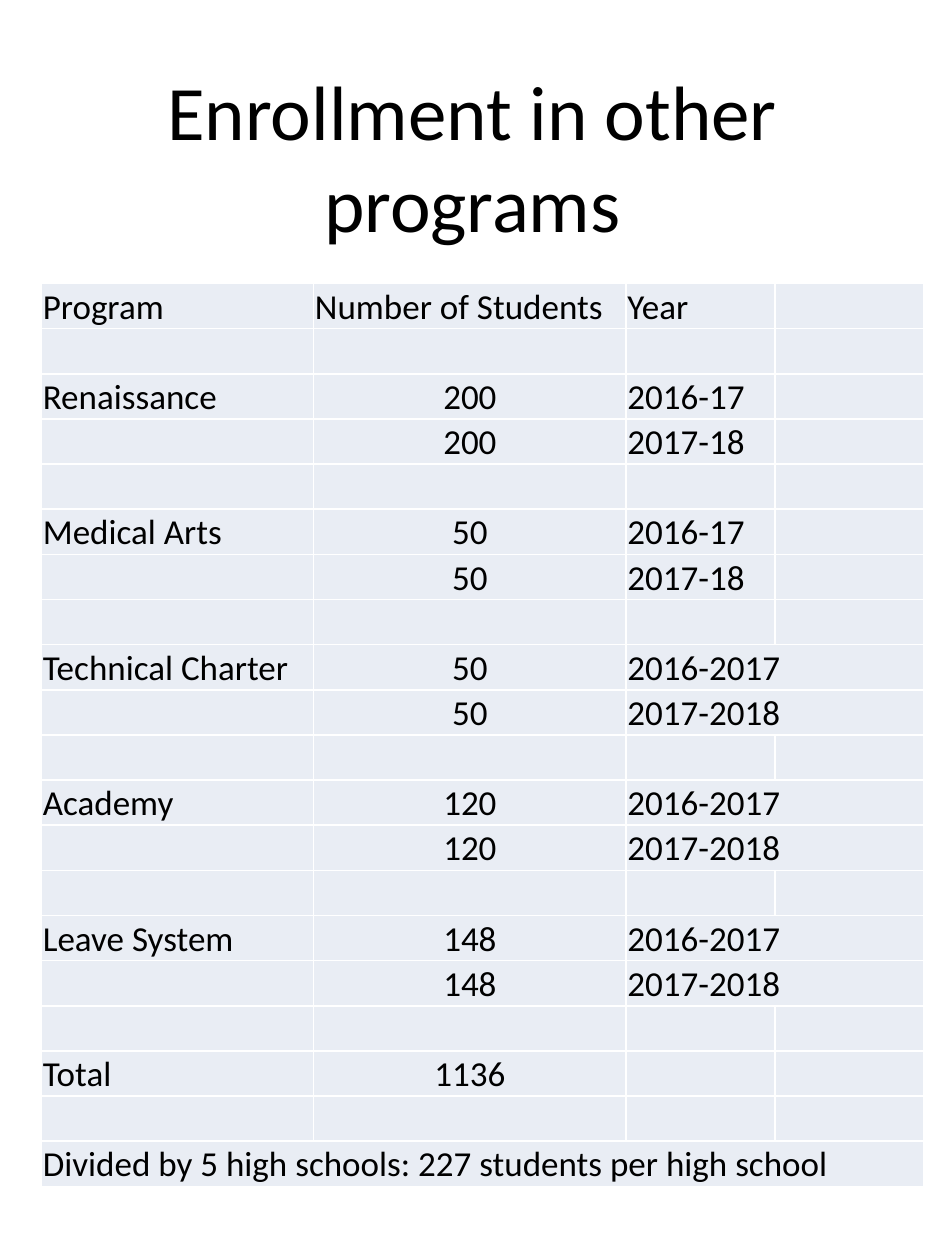
"""Build the slide on enrollment in other programs."""
from dataclasses import dataclass

import lxml.etree
import pptx
import pptx.dml.color
import pptx.enum.text
import pptx.oxml.ns
import pptx.util

WIDTH, HEIGHT = pptx.util.Inches(7.5), pptx.util.Inches(10)
COLUMN_WIDTHS = (2.16, 2.48, 1.18, 1.18)
SHORT_YEARS = ("2016-17", "2017-18")
LONG_YEARS = ("2016-2017", "2017-2018")
PROGRAMS = (
    ("Renaissance", "200", SHORT_YEARS),
    ("Medical Arts", "50", SHORT_YEARS),
    ("Technical Charter", "50", LONG_YEARS),
    ("Academy", "120", LONG_YEARS),
    ("Leave System", "148", LONG_YEARS),
)


@dataclass(frozen=True)
class Theme:
    """Colours, font and type sizes of the slide."""

    font: str = "Calibri"
    ink: str = "000000"
    cell: str = "E9EDF4"
    border: str = "FFFFFF"
    border_width: float = 1
    title_size: int = 44
    body_size: int = 20


THEME = Theme()


def write(frame, text, size, align):
    """Put one formatted paragraph into a text frame."""
    paragraph = frame.paragraphs[0]
    paragraph.text = text
    paragraph.alignment = align
    paragraph.font.name = THEME.font
    paragraph.font.size = pptx.util.Pt(size)
    paragraph.font.bold = False
    paragraph.font.color.rgb = pptx.dml.color.RGBColor.from_string(THEME.ink)


def add_title(slide, text):
    """Place and format the title placeholder."""
    title = slide.shapes.title
    title.left, title.top = int(WIDTH * 0.05), int(HEIGHT * 0.04)
    title.width, title.height = int(WIDTH * 0.9), pptx.util.Inches(1.67)
    title.text_frame.word_wrap = True
    title.text_frame.vertical_anchor = pptx.enum.text.MSO_ANCHOR.MIDDLE
    write(title.text_frame, text, THEME.title_size, pptx.enum.text.PP_ALIGN.CENTER)


def add_borders(cell):
    """Draw a thin line on each side of a cell."""
    qn = pptx.oxml.ns.qn
    properties = cell._tc.get_or_add_tcPr()
    for side in ("a:lnL", "a:lnR", "a:lnT", "a:lnB"):
        line = lxml.etree.SubElement(
            properties, qn(side), w=str(pptx.util.Pt(THEME.border_width)))
        fill = lxml.etree.SubElement(line, qn("a:solidFill"))
        lxml.etree.SubElement(fill, qn("a:srgbClr"), val=THEME.border)


def format_cell(cell, text, align):
    """Give a cell its borders, fill, margins and text."""
    add_borders(cell)
    cell.fill.solid()
    cell.fill.fore_color.rgb = pptx.dml.color.RGBColor.from_string(THEME.cell)
    cell.margin_left = cell.margin_right = cell.margin_top = pptx.util.Inches(0.01)
    cell.margin_bottom = 0
    cell.vertical_anchor = pptx.enum.text.MSO_ANCHOR.BOTTOM
    write(cell.text_frame, text, THEME.body_size, align)


def enrollment_rows():
    """List the table rows, with an empty row after each group."""
    empty = ("", "", "", "")
    rows = [("Program", "Number of Students", "Year", ""), empty]
    for program, students, years in PROGRAMS:
        rows += [(program, students, years[0], ""), ("", students, years[1], ""), empty]
    summary = "Divided by 5 high schools: 227 students per high school"
    return rows + [("Total", "1136", "", ""), empty, (summary, "", "", "")]


def add_enrollment_table(slide, rows):
    """Add the table and join the cells of long entries."""
    height = pptx.util.Inches(7.17)
    table = slide.shapes.add_table(
        len(rows), len(COLUMN_WIDTHS), pptx.util.Inches(0.33), pptx.util.Inches(2.25),
        pptx.util.Inches(sum(COLUMN_WIDTHS)), height).table
    table.first_row = table.horz_banding = False
    for column, width in zip(table.columns, COLUMN_WIDTHS):
        column.width = pptx.util.Inches(width)
    aligns = pptx.enum.text.PP_ALIGN
    last = len(rows) - 1
    for r, entries in enumerate(rows):
        table.rows[r].height = height // len(rows)
        for c, text in enumerate(entries):
            centred = c == 1 and r > 0
            format_cell(table.cell(r, c), text, aligns.CENTER if centred else aligns.LEFT)
        if entries[2] in LONG_YEARS:
            table.cell(r, 2).merge(table.cell(r, 3))
    table.cell(last, 0).merge(table.cell(last, 3))


def main():
    """Build and save the presentation."""
    presentation = pptx.Presentation()
    presentation.slide_width, presentation.slide_height = WIDTH, HEIGHT
    slide = presentation.slides.add_slide(presentation.slide_layouts.get_by_name("Title Only"))
    add_title(slide, "Enrollment in other programs")
    add_enrollment_table(slide, enrollment_rows())
    presentation.save("out.pptx")


if __name__ == "__main__":
    main()
